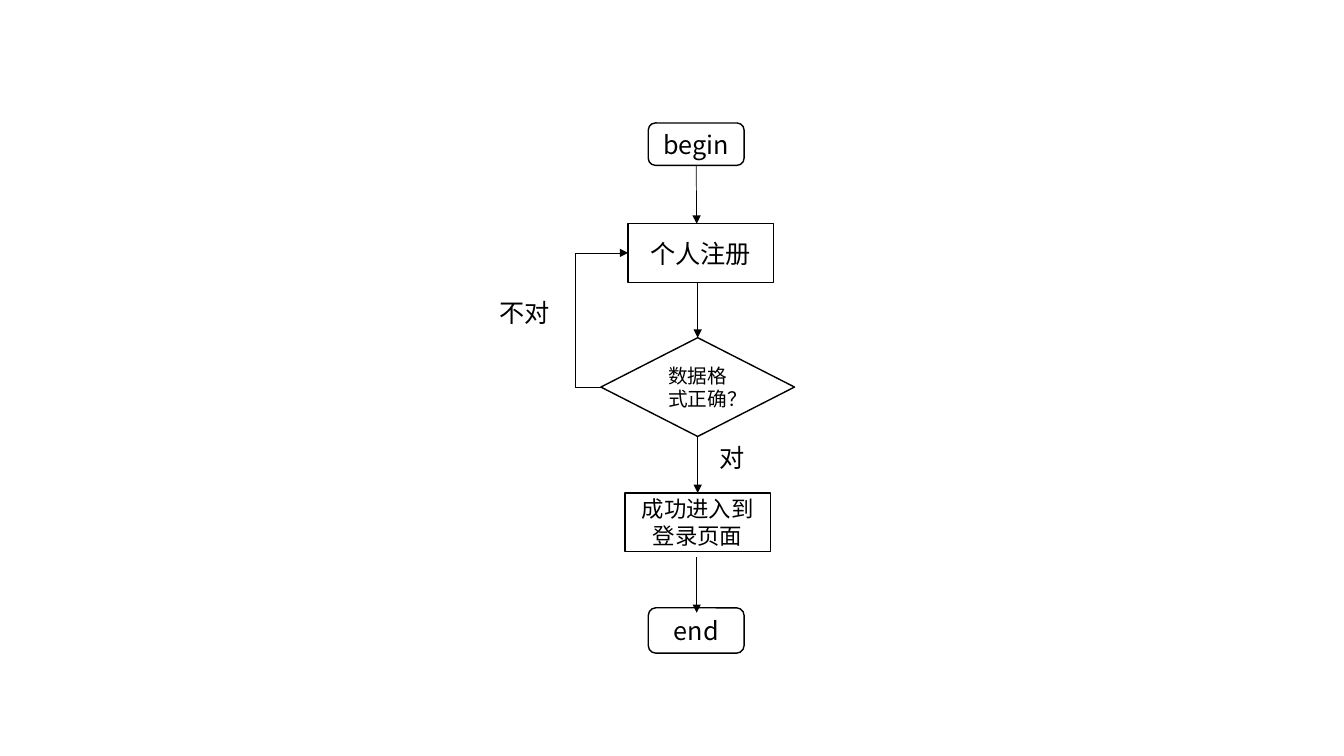
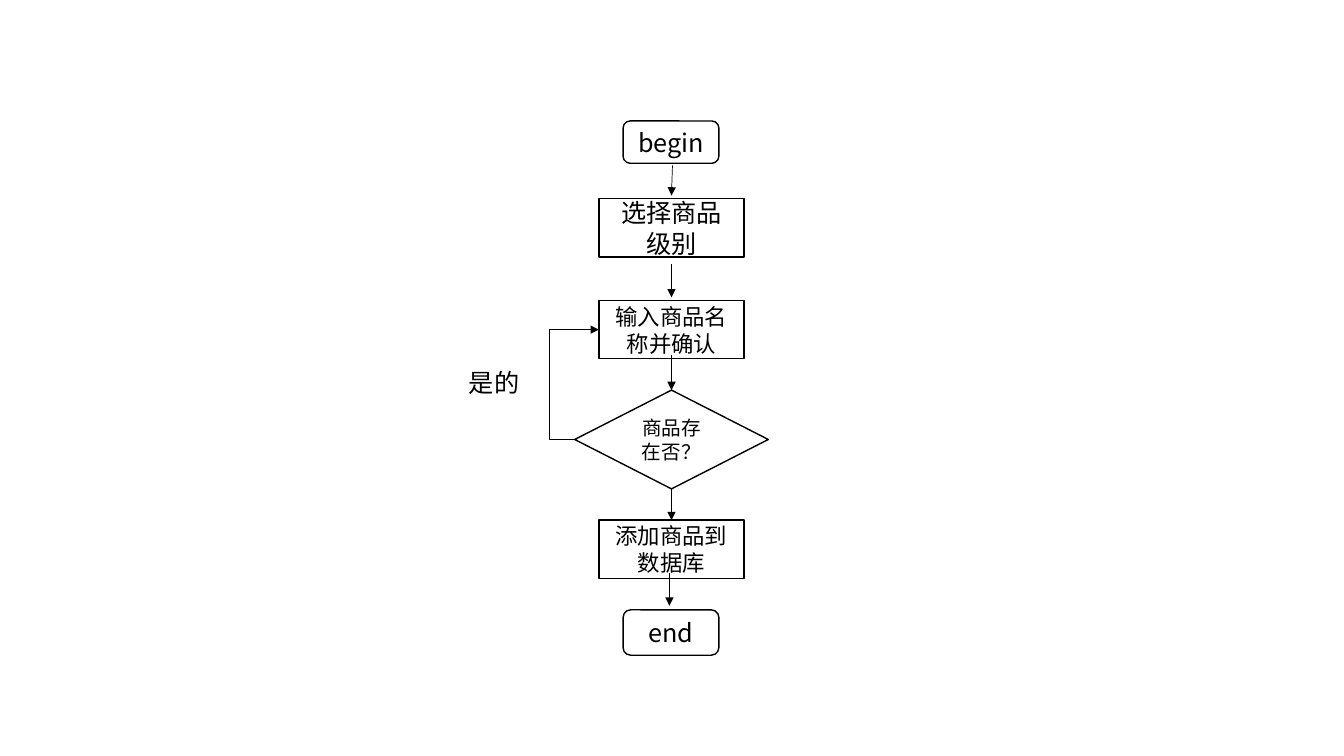
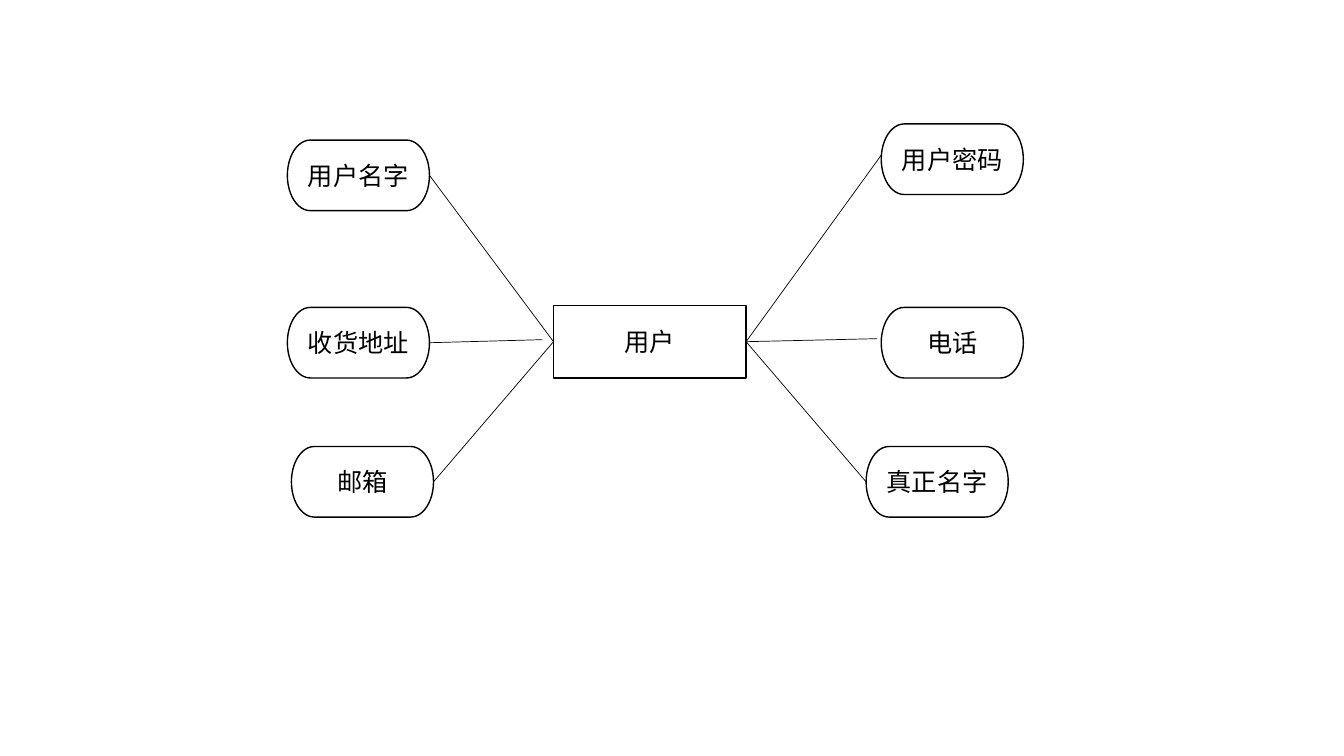
"""Builds two flowcharts and one entity diagram as slides."""
import pptx
import pptx.dml.color
import pptx.enum.shapes
import pptx.enum.text
import pptx.oxml
import pptx.oxml.ns
import pptx.util

Inches = pptx.util.Inches
Pt = pptx.util.Pt
SHAPE = pptx.enum.shapes.MSO_SHAPE
CONNECTOR = pptx.enum.shapes.MSO_CONNECTOR
BLACK = pptx.dml.color.RGBColor(0x00, 0x00, 0x00)
WHITE = pptx.dml.color.RGBColor(0xFF, 0xFF, 0xFF)
FONT = "Noto Sans CJK SC"
TOP, LEFT, BOTTOM, RIGHT = range(4)


def add_xml(parent, tag, **attributes):
    child = pptx.oxml.parse_xml(f"<a:{tag} {pptx.oxml.ns.nsdecls('a')}/>")
    for key, value in attributes.items():
        child.set(key, value)
    parent.append(child)


class Diagram:
    def __init__(self):
        self.deck = pptx.Presentation()
        self.deck.slide_width = Inches(13.33)
        self.deck.slide_height = Inches(7.5)
        self.slide = None

    def new_slide(self):
        self.slide = self.deck.slides.add_slide(self.deck.slide_layouts[6])

    def node(self, kind, text, x, y, width, height, size=18, outlined=True):
        node = self.slide.shapes.add_shape(
            kind, Inches(x), Inches(y), Inches(width), Inches(height))
        node.shadow.inherit = False
        node.fill.solid()
        node.fill.fore_color.rgb = WHITE
        if outlined:
            node.line.color.rgb = BLACK
            node.line.width = Pt(1)
        else:
            node.line.fill.background()
        frame = node.text_frame
        frame.word_wrap = True
        frame.vertical_anchor = pptx.enum.text.MSO_ANCHOR.MIDDLE
        paragraph = frame.paragraphs[0]
        paragraph.alignment = pptx.enum.text.PP_ALIGN.CENTER
        run = paragraph.add_run()
        run.text = text
        run.font.size = Pt(size)
        run.font.color.rgb = BLACK
        run.font.name = FONT
        add_xml(run.font._element, "ea", typeface=FONT)
        return node

    def terminal(self, text, x, y, height):
        return self.node(SHAPE.ROUNDED_RECTANGLE, text, x, y, 0.95, height)

    def step(self, text, x, y, size=16):
        return self.node(SHAPE.RECTANGLE, text, x, y, 1.44, 0.58, size)

    def decision(self, text, x, y):
        return self.node(SHAPE.FLOWCHART_DECISION, text, x, y, 1.92, 0.98, 14)

    def label(self, text, x, y, width, height):
        return self.node(SHAPE.RECTANGLE, text, x, y, width, height, outlined=False)

    def attribute(self, text, x, y):
        return self.node(SHAPE.FLOWCHART_TERMINATOR, text, x, y, 1.41, 0.7)

    def link(self, start, end, arrow=False, kind=CONNECTOR.STRAIGHT):
        """Joins two ends, each an (x, y) point or a (node, side) pair."""
        joined = [not isinstance(place[0], (int, float)) for place in (start, end)]
        points = [(0, 0) if is_joined else place
                  for is_joined, place in zip(joined, (start, end))]
        link = self.slide.shapes.add_connector(
            kind, *(Inches(value) for point in points for value in point))
        if joined[0]:
            link.begin_connect(*start)
        if joined[1]:
            link.end_connect(*end)
        link.line.color.rgb = BLACK
        link.line.width = Pt(0.5)
        if arrow:
            add_xml(link.line._get_or_add_ln(), "tailEnd", type="triangle")
        add_xml(link._element.spPr, "effectLst")
        return link

    def arrow(self, start, end):
        return self.link(start, end, arrow=True)

    def loop_back(self, start, end):
        loop = self.link((start, LEFT), (end, LEFT), True, CONNECTOR.ELBOW)
        bend = round(-Inches(0.25) / loop.width * 100000)
        guides = loop._element.spPr.prstGeom.get_or_add_avLst()
        add_xml(guides, "gd", name="adj1", fmla=f"val {bend}")


def registration(diagram):
    diagram.new_slide()
    begin = diagram.terminal("begin", 6.43, 1.22, 0.42)
    register = diagram.step("个人注册", 6.23, 2.22, 18)
    check = diagram.decision("数据格式正确？", 5.96, 3.35)
    login = diagram.step("成功进入到登录页面", 6.2, 4.89)
    diagram.terminal("end", 6.43, 6.03, 0.45)
    diagram.arrow((begin, BOTTOM), (6.91, 2.22))
    diagram.arrow((6.92, 2.8), (check, TOP))
    diagram.arrow((check, BOTTOM), (login, TOP))
    diagram.arrow((6.91, 5.53), (6.91, 6.08))
    diagram.loop_back(check, register)
    diagram.label("不对", 4.76, 2.91, 0.88, 0.37)
    diagram.label("对", 7.04, 4.43, 0.35, 0.22)


def product_entry(diagram):
    diagram.new_slide()
    diagram.terminal("begin", 6.18, 1.2, 0.42)
    diagram.step("选择商品级别", 5.94, 1.97, 18)
    enter_name = diagram.step("输入商品名称并确认", 5.94, 2.98)
    exists = diagram.decision("商品存在否？", 5.7, 3.87)
    add_product = diagram.step("添加商品到数据库", 5.94, 5.16)
    diagram.terminal("end", 6.18, 6.05, 0.45)
    diagram.arrow((6.67, 1.64), (6.66, 1.94))
    diagram.arrow((6.66, 2.62), (6.66, 2.95))
    diagram.arrow((6.66, 3.52), (exists, TOP))
    diagram.arrow((exists, BOTTOM), (add_product, TOP))
    diagram.arrow((6.64, 5.68), (6.64, 6.01))
    diagram.loop_back(exists, enter_name)
    diagram.label("是的", 4.46, 3.61, 0.88, 0.37)


def user_entity(diagram):
    diagram.new_slide()
    user = diagram.node(SHAPE.RECTANGLE, "用户", 5.49, 3.03, 1.91, 0.72)
    user_name = diagram.attribute("用户名字", 2.85, 1.39)
    address = diagram.attribute("收货地址", 2.85, 3.05)
    mailbox = diagram.attribute("邮箱", 2.89, 4.43)
    diagram.attribute("用户密码", 8.74, 1.23)
    diagram.attribute("电话", 8.74, 3.05)
    real_name = diagram.attribute("真正名字", 8.59, 4.43)
    diagram.link((user, LEFT), (user_name, RIGHT))
    diagram.link((address, RIGHT), (5.38, 3.37))
    diagram.link((mailbox, RIGHT), (user, LEFT))
    diagram.link((user, RIGHT), (8.74, 1.54))
    diagram.link((user, RIGHT), (8.7, 3.36))
    diagram.link((real_name, LEFT), (user, RIGHT))


def main():
    diagram = Diagram()
    registration(diagram)
    product_entry(diagram)
    user_entity(diagram)
    diagram.deck.save("out.pptx")


if __name__ == "__main__":
    main()
